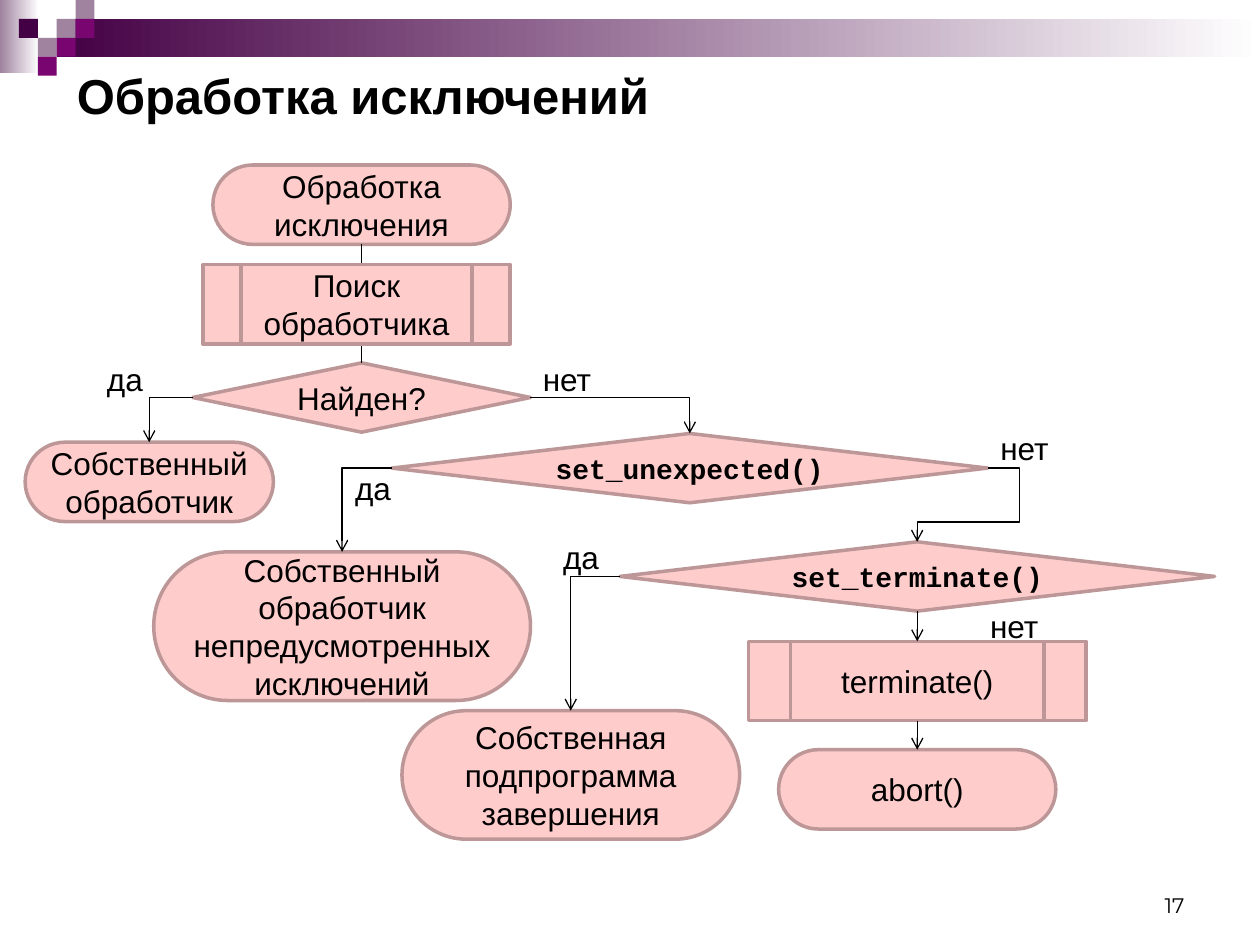
from dataclasses import dataclass

from lxml import etree
from pptx import Presentation
from pptx.dml.color import RGBColor
from pptx.enum import shapes, text
from pptx.oxml import ns
from pptx.util import Inches, Pt

KIND = shapes.MSO_SHAPE
TOP, LEFT, BOTTOM, RIGHT = range(4)


@dataclass(frozen=True)
class Theme:
    """Colours, fonts and type sizes of the slide."""
    ink: str = "000000"
    paper: str = "FFFFFF"
    step_fill: str = "FFCCCC"
    step_line: str = "BD9797"
    dark: str = "440044"
    mauve: str = "9F839F"
    plum: str = "790571"
    font: str = "Arial"
    code_font: str = "Courier New"
    number_font: str = "Montserrat"
    title_size: int = 28
    body_size: int = 18
    code_size: int = 16
    number_size: int = 12


@dataclass(frozen=True)
class Step:
    """A flowchart block; every line of words is a paragraph."""
    kind: int
    box: tuple[float, float, float, float]
    lines: tuple[str, ...]
    code: bool = False


@dataclass(frozen=True)
class Link:
    """A connector between the sites of two steps."""
    start: str
    start_site: int
    end: str
    preset: str = "line"
    arrow: bool = True
    bends: tuple[int, ...] = ()


THEME = Theme()
STEPS = {
    "begin": Step(KIND.ROUNDED_RECTANGLE, (1.69, 1.31, 2.36, 0.63), ("Обработка исключения",)),
    "found": Step(KIND.DIAMOND, (1.53, 2.88, 2.68, 0.55), ("Найден?",)),
    "handler": Step(KIND.ROUNDED_RECTANGLE, (0.2, 3.51, 1.97, 0.63), ("Собственный", "обработчик")),
    "unexpected": Step(KIND.DIAMOND, (3.11, 3.44, 4.73, 0.55), ("set_unexpected()",), True),
    "own_unexpected": Step(KIND.ROUNDED_RECTANGLE, (1.22, 4.38, 2.99, 1.18),
                           ("Собственный", "обработчик", "непредусмотренных", "исключений")),
    "set_terminate": Step(KIND.DIAMOND, (4.92, 4.3, 4.72, 0.55), ("set_terminate()",), True),
    "own_terminate": Step(KIND.ROUNDED_RECTANGLE, (3.19, 5.64, 2.68, 1.02),
                          ("Собственная", "подпрограмма", "завершения")),
    "terminate": Step(KIND.FLOWCHART_PREDEFINED_PROCESS, (5.94, 5.09, 2.68, 0.63), ("terminate()",)),
    "abort": Step(KIND.ROUNDED_RECTANGLE, (6.18, 5.95, 2.2, 0.63), ("abort()",)),
}
SEARCH = Step(KIND.FLOWCHART_PREDEFINED_PROCESS, (1.61, 2.1, 2.44, 0.63), ("Поиск обработчика",))
LINKS = (
    Link("begin", BOTTOM, "found", arrow=False),
    Link("found", LEFT, "handler", "bentConnector2"),
    Link("found", RIGHT, "unexpected", "bentConnector2"),
    Link("unexpected", LEFT, "own_unexpected", "bentConnector2"),
    Link("unexpected", RIGHT, "set_terminate", "bentConnector4", bends=(-45400, 73300)),
    Link("set_terminate", LEFT, "own_terminate", "bentConnector2"),
    Link("set_terminate", BOTTOM, "terminate"),
    Link("terminate", BOTTOM, "abort"),
)
ANSWERS = {
    "да": (0.49, ((0.75, 2.81), (2.72, 3.67), (4.37, 4.22))),
    "нет": (0.59, ((4.21, 2.81), (7.84, 3.36), (7.76, 4.77))),
}
TILE = 0.15
TILES = ((3, 1, THEME.mauve), (4, 0, THEME.mauve), (4, 1, THEME.plum), (2, 2, THEME.mauve),
         (1, 1, THEME.dark), (3, 2, THEME.plum), (2, 3, THEME.plum))


def colour(value: str) -> RGBColor:
    """Turn a hex string into a colour."""
    return RGBColor.from_string(value)


def write(paragraph, words: str, size: int, font: str = THEME.font, bold: bool = False) -> None:
    """Add one formatted run to a paragraph."""
    run = paragraph.add_run()
    run.text = words
    run.font.size, run.font.name, run.font.bold = Pt(size), font, bold
    run.font.color.rgb = colour(THEME.ink)


def add_block(slide, kind: int, box: tuple):
    """Add a preset shape without a shadow."""
    block = slide.shapes.add_shape(kind, *map(Inches, box))
    block.shadow.inherit = False
    return block


def draw_decoration(slide) -> None:
    """Draw the fading bars and the mosaic in the top corner."""
    for box, first in (((0, 0, 0.31, 0.58), THEME.mauve), ((0.45, 0.15, 9.55, 0.3), THEME.dark)):
        bar = add_block(slide, KIND.RECTANGLE, box)
        bar.line.fill.background()
        bar.fill.gradient()
        bar.fill.gradient_angle = 0
        for stop, shade in zip(bar.fill.gradient_stops, (first, THEME.paper)):
            stop.color.rgb = colour(shade)
    for column, row, shade in TILES:
        tile = add_block(slide, KIND.RECTANGLE, (column * TILE, row * TILE, TILE, TILE))
        tile.line.fill.background()
        tile.fill.solid()
        tile.fill.fore_color.rgb = colour(shade)


def draw_step(slide, step: Step):
    """Draw a flowchart block with its words."""
    block = add_block(slide, step.kind, step.box)
    if step.kind == KIND.ROUNDED_RECTANGLE:
        block.adjustments[0] = 0.5
    block.fill.solid()
    block.fill.fore_color.rgb = colour(THEME.step_fill)
    block.line.color.rgb = colour(THEME.step_line)
    block.line.width = Pt(2)
    frame = block.text_frame
    frame.vertical_anchor = text.MSO_ANCHOR.MIDDLE
    size, font = ((THEME.code_size, THEME.code_font) if step.code
                  else (THEME.body_size, THEME.font))
    for index, words in enumerate(step.lines):
        paragraph = frame.add_paragraph() if index else frame.paragraphs[0]
        paragraph.alignment = text.PP_ALIGN.CENTER
        write(paragraph, words, size, font, step.code)
    return block


def draw_link(slide, link: Link, blocks: dict) -> None:
    """Join two blocks with a straight or bent connector."""
    connector = slide.shapes.add_connector(shapes.MSO_CONNECTOR.STRAIGHT, 0, 0, 0, 0)
    connector.begin_connect(blocks[link.start], link.start_site)
    connector.end_connect(blocks[link.end], TOP)
    connector.line.color.rgb = colour(THEME.ink)
    connector.line.width = Pt(0.75)
    properties = connector._element.spPr
    geometry = properties.find(ns.qn("a:prstGeom"))
    geometry.set("prst", link.preset)
    for number, bend in enumerate(link.bends, 1):
        etree.SubElement(geometry.find(ns.qn("a:avLst")), ns.qn("a:gd"),
                         name=f"adj{number}", fmla=f"val {bend}")
    if link.arrow:
        etree.SubElement(properties.find(ns.qn("a:ln")), ns.qn("a:tailEnd"), type="arrow")
    etree.SubElement(properties, ns.qn("a:effectLst"))


def draw_answers(slide) -> None:
    """Place the yes and no labels beside the branches."""
    for words, (width, places) in ANSWERS.items():
        for left, top in places:
            answer = slide.shapes.add_textbox(*map(Inches, (left, top, width, 0.4)))
            answer.text_frame.word_wrap = False
            write(answer.text_frame.paragraphs[0], words, THEME.body_size)


def draw_heading(slide) -> None:
    """Fill the title and the page number."""
    title = slide.shapes.title
    title.left, title.top, title.width, title.height = map(Inches, (0.51, 0.44, 9.49, 0.63))
    title.text_frame.auto_size = text.MSO_AUTO_SIZE.NONE
    title.text_frame.vertical_anchor = text.MSO_ANCHOR.MIDDLE
    heading = title.text_frame.paragraphs[0]
    heading.alignment = text.PP_ALIGN.LEFT
    write(heading, "Обработка исключений", THEME.title_size, bold=True)
    page = slide.shapes.add_textbox(*map(Inches, (7.17, 6.83, 2.33, 0.5))).text_frame
    page.word_wrap = True
    page.vertical_anchor = text.MSO_ANCHOR.BOTTOM
    page.paragraphs[0].alignment = text.PP_ALIGN.RIGHT
    write(page.paragraphs[0], "17", THEME.number_size, THEME.number_font)


def main() -> None:
    """Build the slide and save it."""
    deck = Presentation()
    deck.slide_width, deck.slide_height = Inches(10), Inches(7.5)
    slide = deck.slides.add_slide(deck.slide_layouts[5])
    draw_decoration(slide)
    draw_heading(slide)
    draw_answers(slide)
    blocks = {name: draw_step(slide, step) for name, step in STEPS.items()}
    for link in LINKS:
        draw_link(slide, link, blocks)
    draw_step(slide, SEARCH)
    deck.save("out.pptx")


main()
